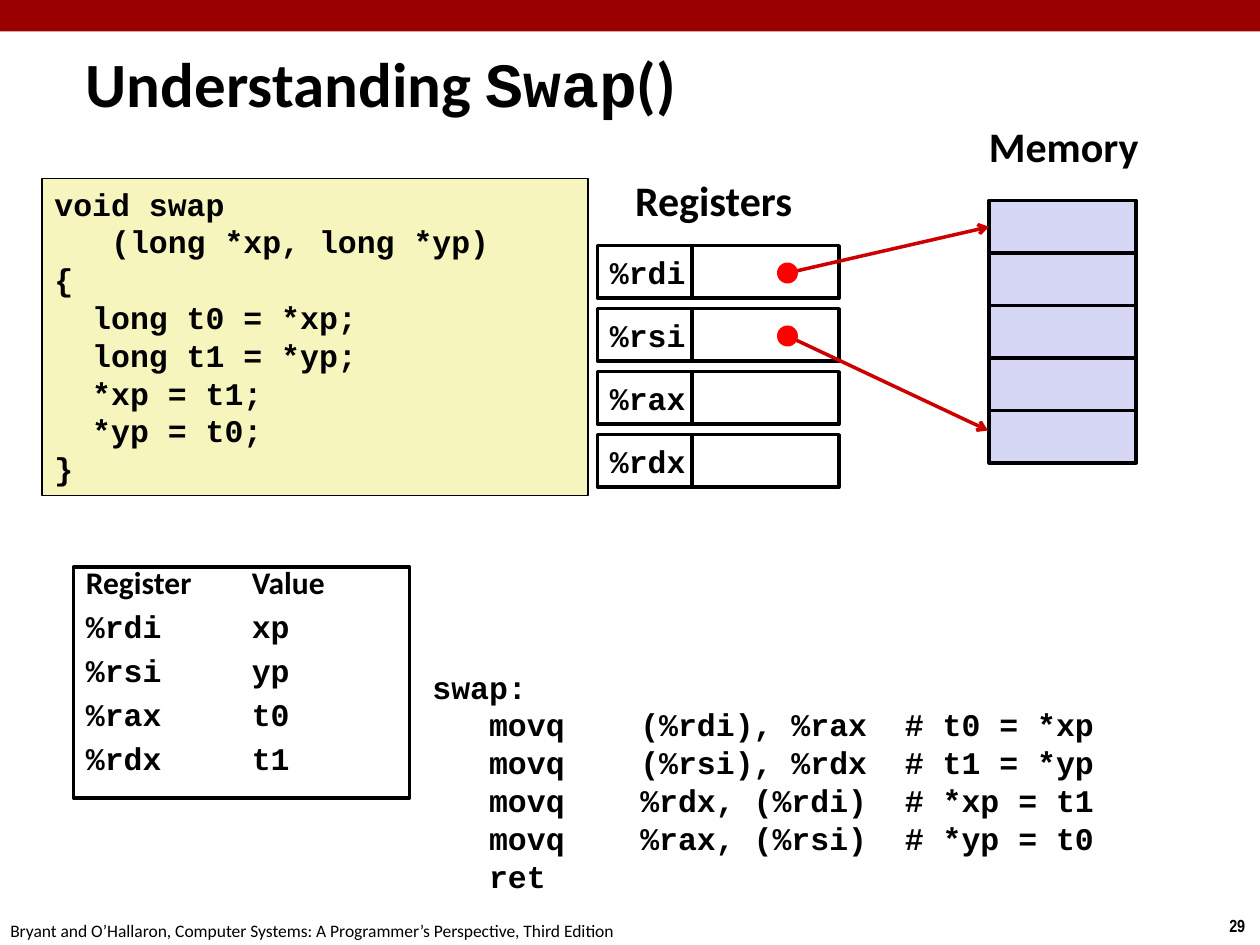
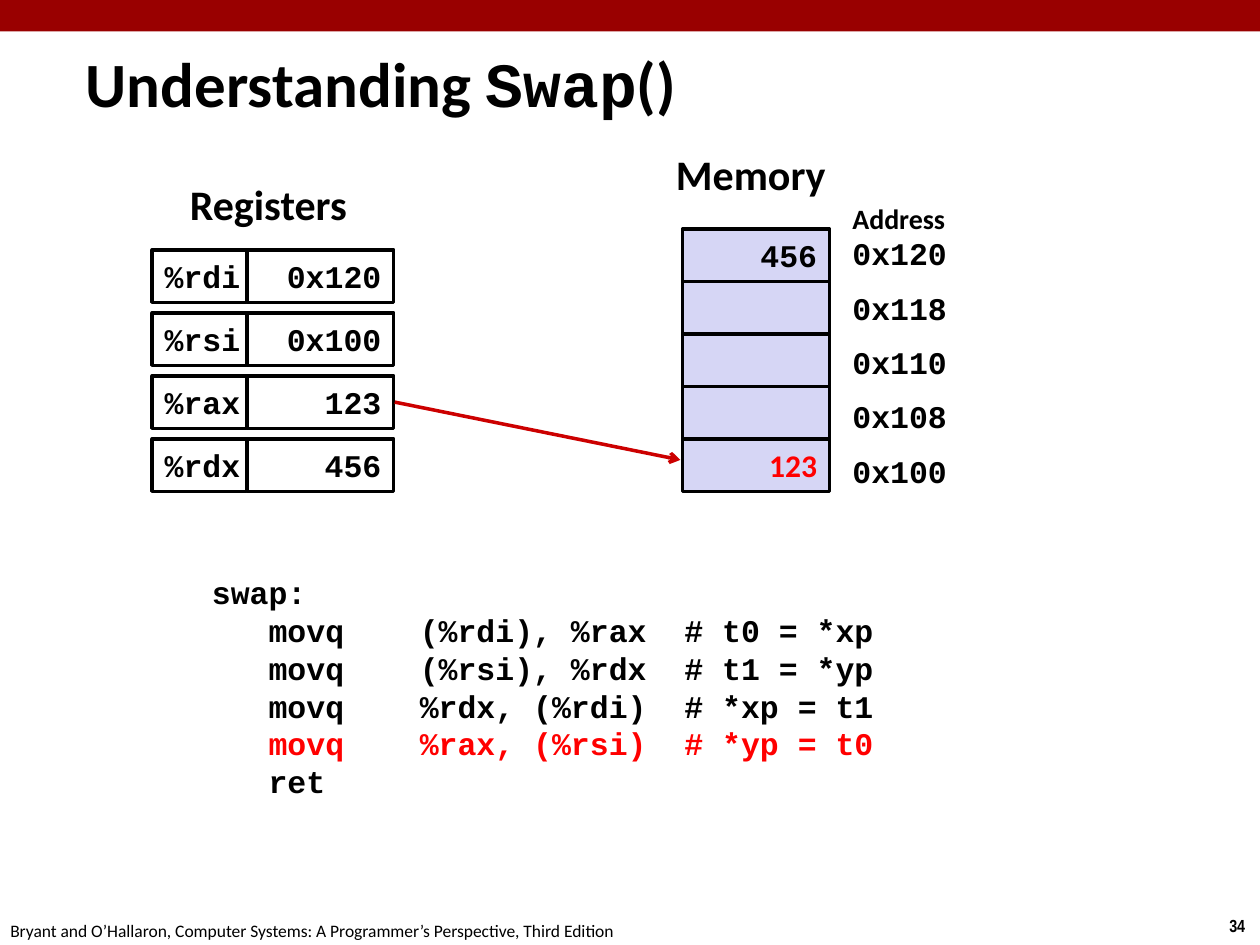
from pptx import Presentation
from pptx.dml.color import RGBColor
from pptx.enum.shapes import MSO_CONNECTOR, MSO_SHAPE
from pptx.enum.text import MSO_ANCHOR, MSO_AUTO_SIZE, PP_ALIGN
from pptx.oxml.ns import qn
from pptx.util import Inches, Pt
from lxml.etree import SubElement

# Shared look; lengths are in grid units, with 12 units to the inch
COLORS = {"band": "990000", "ink": "000000", "paper": "FFFFFF", "code": "F6F5BD",
          "memory": "D6D6F5", "arrow": "CC0000", "accent": "FF0000"}
SANS, MONO, NARROW = "Calibri", "Courier New", "Arial Narrow"
UNIT = Inches(1) / 12
WIDTH, HEIGHT = 120, 90
CHAR = 1.8                     # one monospaced character at 18 pt
NAME_W, CELL_W, CELL_H, REGISTER_STEP, ADDRESS_STEP = 9, 14, 5, 6, 5.19

# Content
TITLE = [("Understanding ", SANS), ("Swap", MONO), ("()", SANS)]
FOOTER = ("Bryant and O’Hallaron, Computer Systems: "
          "A Programmer’s Perspective, Third Edition")
REGISTERS = ["%rdi", "%rsi", "%rax", "%rdx"]
C_CODE = [  # indent in characters, text
    (0, "void swap"), (3, "(long *xp, long *yp)"), (0, "{"),
    (2, "long t0 = *xp;"), (2, "long t1 = *yp;"),
    (2, "*xp = t1;"), (2, "*yp = t0;"), (0, "}")]
ASSEMBLY = ["swap:",
            "\tmovq\t(%rdi), %rax\t# t0 = *xp",
            "\tmovq\t(%rsi), %rdx\t# t1 = *yp",
            "\tmovq\t%rdx, (%rdi)\t# *xp = t1",
            "\tmovq\t%rax, (%rsi)\t# *yp = t0",
            "\tret"]
ASSEMBLY_STOPS = [3 * CHAR, 11 * CHAR, 25 * CHAR]
REGISTER_USE = [("Register", "Value"), ("%rdi", "xp"), ("%rsi", "yp"),
                ("%rax", "t0"), ("%rdx", "t1")]
ADDRESSES = ["0x120", "0x118", "0x110", "0x108", "0x100"]

SLIDES = [
    {"number": "29", "registers": (56.9, 23.4), "values": [""] * 4,
     "memory": (94.2, 19.1), "memory_label": (93, 10.9), "cells": [""] * 5,
     "arrows": [((75, 26), (94.2, 21.6)), ((75, 32), (94.1, 41))], "dots": True,
     "assembly": (40, 63), "current": None, "overview": True, "addresses": False},
    {"number": "34", "registers": (14.5, 23.8),
     "values": ["0x120", "0x100", "123", "456"],
     "memory": (65, 21.8), "memory_label": (63.2, 13.6),
     "cells": ["456", "", "", "", "123"],
     "arrows": [((37.6, 38.3), (64.8, 43.8))], "dots": False,
     "assembly": (19, 54), "current": 4, "overview": False, "addresses": True},
]


def units(*values):
    return [round(value * UNIT) for value in values]


def color(name):
    return RGBColor.from_string(COLORS[name])


def add_span(para, text, size=18, font=MONO, ink="ink", bold=True):
    span = para.add_run()
    span.text = text
    span.font.size, span.font.name, span.font.bold = Pt(size), font, bold
    span.font.color.rgb = color(ink)


def next_para(frame, index):
    return frame.add_paragraph() if index else frame.paragraphs[0]


def set_tabs(para, stops):
    tabs = SubElement(para._p.get_or_add_pPr(), qn("a:tabLst"))
    for stop in stops:
        SubElement(tabs, qn("a:tab"), pos=str(round(stop * UNIT)), algn="l")


def add_box(page, x, y, w, h, fill=None, line=None, kind=MSO_SHAPE.RECTANGLE):
    box = page.shapes.add_shape(kind, *units(x, y, w, h))
    box.shadow.inherit = False
    if fill:
        box.fill.solid()
        box.fill.fore_color.rgb = color(fill)
    else:
        box.fill.background()
    if line:
        box.line.color.rgb, box.line.width = color("ink"), Pt(line)
    else:
        box.line.fill.background()
    frame = box.text_frame
    frame.word_wrap, frame.vertical_anchor = True, MSO_ANCHOR.TOP
    frame.paragraphs[0].alignment = PP_ALIGN.LEFT
    return box


def add_label(page, x, y, w, h, text, wrap=False, **style):
    frame = page.shapes.add_textbox(*units(x, y, w, h)).text_frame
    frame.word_wrap, frame.auto_size = wrap, MSO_AUTO_SIZE.SHAPE_TO_FIT_TEXT
    add_span(frame.paragraphs[0], text, **style)


def add_cell(page, x, y, w, text, fill, align=PP_ALIGN.RIGHT, **style):
    frame = add_box(page, x, y, w, CELL_H, fill, 2).text_frame
    if text:
        frame.word_wrap, frame.vertical_anchor = False, MSO_ANCHOR.MIDDLE
        frame.paragraphs[0].alignment = align
        add_span(frame.paragraphs[0], text, **style)


def add_frame(page, number):
    """Band, footer, page number and title."""
    add_box(page, 0, 0, WIDTH, 3, "band")
    add_label(page, 115.9, 86.6, 4.1, 3.2, number, size=10, font=NARROW)
    add_label(page, -0.2, 87, 61, 3.2, FOOTER, size=10, font=SANS, bold=False)
    frame = page.shapes.add_textbox(*units(7, 4, 83.6, 7.6)).text_frame
    frame.word_wrap, frame.vertical_anchor = True, MSO_ANCHOR.MIDDLE
    for text, font in TITLE:
        add_span(frame.paragraphs[0], text, 36, font)


def add_registers(page, x, y, values):
    add_label(page, x + 2.4, y - 7.4, 17.8, 6, "Registers", size=24, font=SANS)
    for row, (name, value) in enumerate(zip(REGISTERS, values)):
        top = y + row * REGISTER_STEP
        add_cell(page, x, top, NAME_W, name, "paper", PP_ALIGN.LEFT)
        add_cell(page, x + NAME_W, top, CELL_W, value, "paper")


def add_memory(page, x, y, cells, label):
    add_label(page, *label, 16.8, 6, "Memory", size=24, font=SANS)
    for row, value in enumerate(cells):
        changed = {"font": SANS, "ink": "accent"} if row == len(cells) - 1 else {}
        add_cell(page, x, y + row * CELL_H, CELL_W, value, "memory", **changed)


def add_addresses(page):
    for row, address in enumerate(ADDRESSES):
        add_label(page, 80, 21.7 + row * ADDRESS_STEP, 16, 4.8, address, wrap=True)
    add_label(page, 80, 18.6, 16, 4.4, "Address", wrap=True, size=16, font=SANS)


def add_arrow(page, start, end, dot):
    arrow = page.shapes.add_connector(MSO_CONNECTOR.STRAIGHT, *units(*start, *end))
    arrow.line.color.rgb, arrow.line.width = color("arrow"), Pt(2)
    SubElement(arrow.line._get_or_add_ln(), qn("a:tailEnd"), type="arrow")
    SubElement(arrow._element.spPr, qn("a:effectLst"))
    if dot:
        add_box(page, start[0] - 1, start[1] - 1, 2, 2, "accent", kind=MSO_SHAPE.OVAL)


def add_overview(page):
    """C source and the table of register use."""
    frame = add_box(page, 4, 17, 52, 30.2, "code", 1).text_frame
    for index, (indent, text) in enumerate(C_CODE):
        para = next_para(frame, index)
        para.alignment = PP_ALIGN.LEFT
        if indent:
            set_tabs(para, [indent * CHAR])
        add_span(para, "\t" + text if indent else text)
    frame = add_box(page, 7, 54, 32, 22, line=2).text_frame
    for index, pair in enumerate(REGISTER_USE):
        para = next_para(frame, index)
        para.alignment, para.line_spacing = PP_ALIGN.LEFT, 0.7
        para.space_before = Pt(10 if index else 0)
        set_tabs(para, [15.8])
        add_span(para, "\t".join(pair), font=MONO if index else SANS)


def add_assembly(page, x, y, current):
    frame = page.shapes.add_textbox(*units(x, y, 77, 23)).text_frame
    frame.word_wrap = True
    for index, text in enumerate(ASSEMBLY):
        para = next_para(frame, index)
        set_tabs(para, ASSEMBLY_STOPS)
        add_span(para, text, ink="accent" if index == current else "ink")


# Build the slides
deck = Presentation()
deck.slide_width, deck.slide_height = units(WIDTH, HEIGHT)
for content in SLIDES:
    page = deck.slides.add_slide(deck.slide_layouts[6])
    add_frame(page, content["number"])
    add_registers(page, *content["registers"], content["values"])
    add_memory(page, *content["memory"], content["cells"], content["memory_label"])
    if content["overview"]:
        add_overview(page)
    if content["addresses"]:
        add_addresses(page)
    for start, end in content["arrows"]:
        add_arrow(page, start, end, content["dots"])
    add_assembly(page, *content["assembly"], content["current"])
deck.save("out.pptx")
